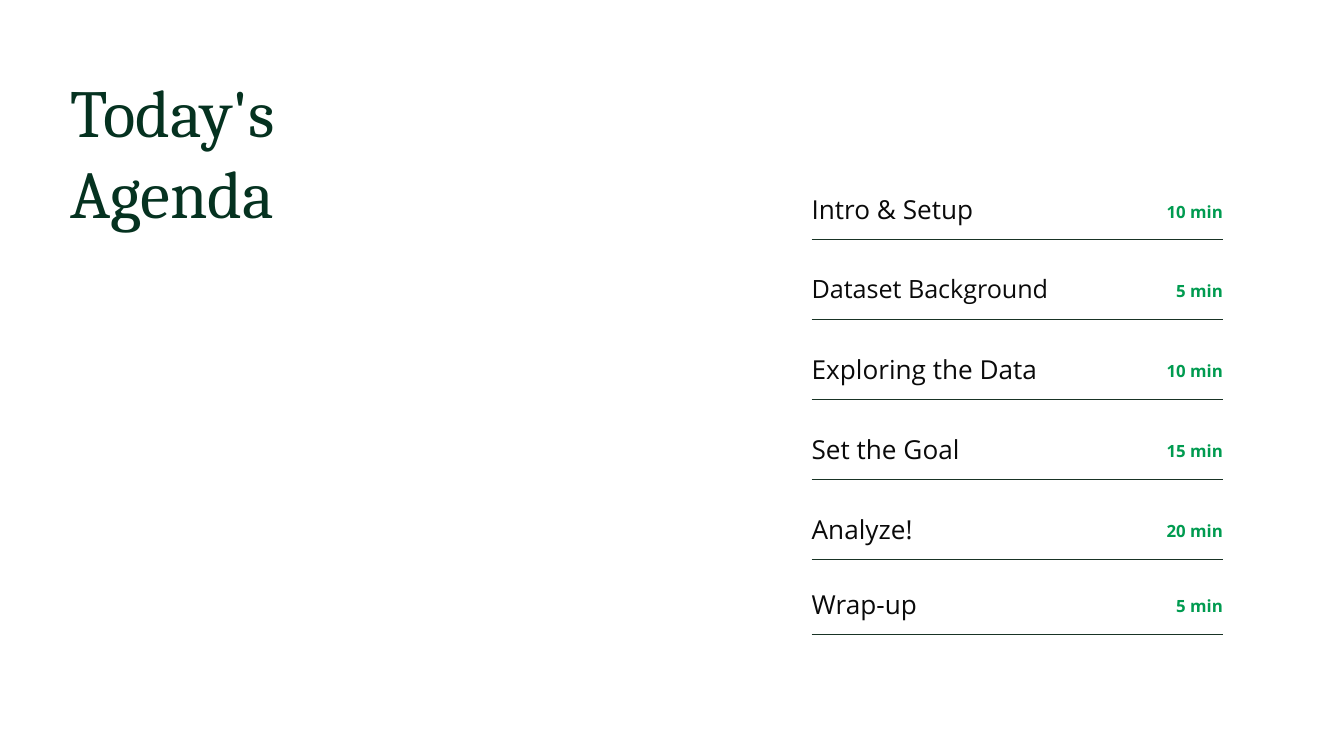
from lxml import etree
from pptx import Presentation
from pptx.dml.color import RGBColor
from pptx.enum.shapes import MSO_CONNECTOR
from pptx.enum.text import MSO_ANCHOR, PP_ALIGN
from pptx.oxml.ns import qn
from pptx.util import Cm, Pt

LEFT, RIGHT = PP_ALIGN.LEFT, PP_ALIGN.RIGHT
TOP, MID = MSO_ANCHOR.TOP, MSO_ANCHOR.MIDDLE
LINE = MSO_CONNECTOR.STRAIGHT

HUES = {"title": "053220", "rule": "193325", "item": "0A0A0A", "time": "009B50"}
SERIF, SANS = "Cambria", "Open Sans"

# Topic, length, text size
ITEMS = [
    ("Intro & Setup", "10 min", 14),
    ("Dataset Background", "5 min", 13.5),
    ("Exploring the Data", "10 min", 14),
    ("Set the Goal", "15 min", 14),
    ("Analyze!", "20 min", 14),
    ("Wrap-up", "5 min", 14),
]
PITCH, LAST = 1.51, 1.42  # row steps; the final step is tighter
SIDE, TEXT = 1.85, 0.61  # width of the time column, height of a text box


def add_text(slide, box, text, *, size, hue, font=SANS, bold=False,
             align=LEFT, anchor=TOP, space=None):
    frame = slide.shapes.add_textbox(*map(Cm, box)).text_frame
    frame.word_wrap = True
    frame.vertical_anchor = anchor
    frame.margin_left = frame.margin_right = 0
    frame.margin_top = frame.margin_bottom = 0
    para = frame.paragraphs[0]
    para.text = text
    para.alignment = align
    para.line_spacing = space
    for run in para.runs:
        run.font.name = font
        run.font.size = Pt(size)
        run.font.bold = bold
        run.font.color.rgb = RGBColor.from_string(HUES[hue])


def add_rule(slide, left, top, width):
    rule = slide.shapes.add_connector(
        LINE, Cm(left), Cm(top), Cm(left + width), Cm(top))
    rule.line.color.rgb = RGBColor.from_string(HUES["rule"])
    rule.line.width = Pt(0.75)
    etree.SubElement(rule._element.spPr, qn("a:effectLst"))


def add_title(slide, box):
    add_text(slide, box, "Today's\nAgenda", size=36, hue="title", font=SERIF)


def add_row(slide, box, topic, time, size):
    left, top, width, high = box
    split = width - SIDE
    # Topic on the left, length on the right, rule below
    add_text(slide, (left, top, split, TEXT), topic,
             size=size, hue="item", space=1.25)
    add_text(slide, (left + split, top, SIDE, TEXT), time, size=9,
             hue="time", bold=True, align=RIGHT, anchor=MID, space=1.95)
    add_rule(slide, left, top + high, width)


def add_list(slide, box):
    left, top, width, high = box
    end = len(ITEMS) - 1
    for i, item in enumerate(ITEMS):
        drop = i * PITCH if i < end else (i - 1) * PITCH + LAST
        add_row(slide, (left, top + drop, width, high), *item)


def main():
    deck = Presentation()
    deck.slide_width, deck.slide_height = Cm(25.4), Cm(14.29)
    slide = deck.slides.add_slide(deck.slide_layouts[6])
    add_title(slide, (1.33, 1.33, 6.88, 2.74))
    add_list(slide, (15.34, 3.51, 7.77, 1.02))
    deck.save("out.pptx")


if __name__ == "__main__":
    main()
